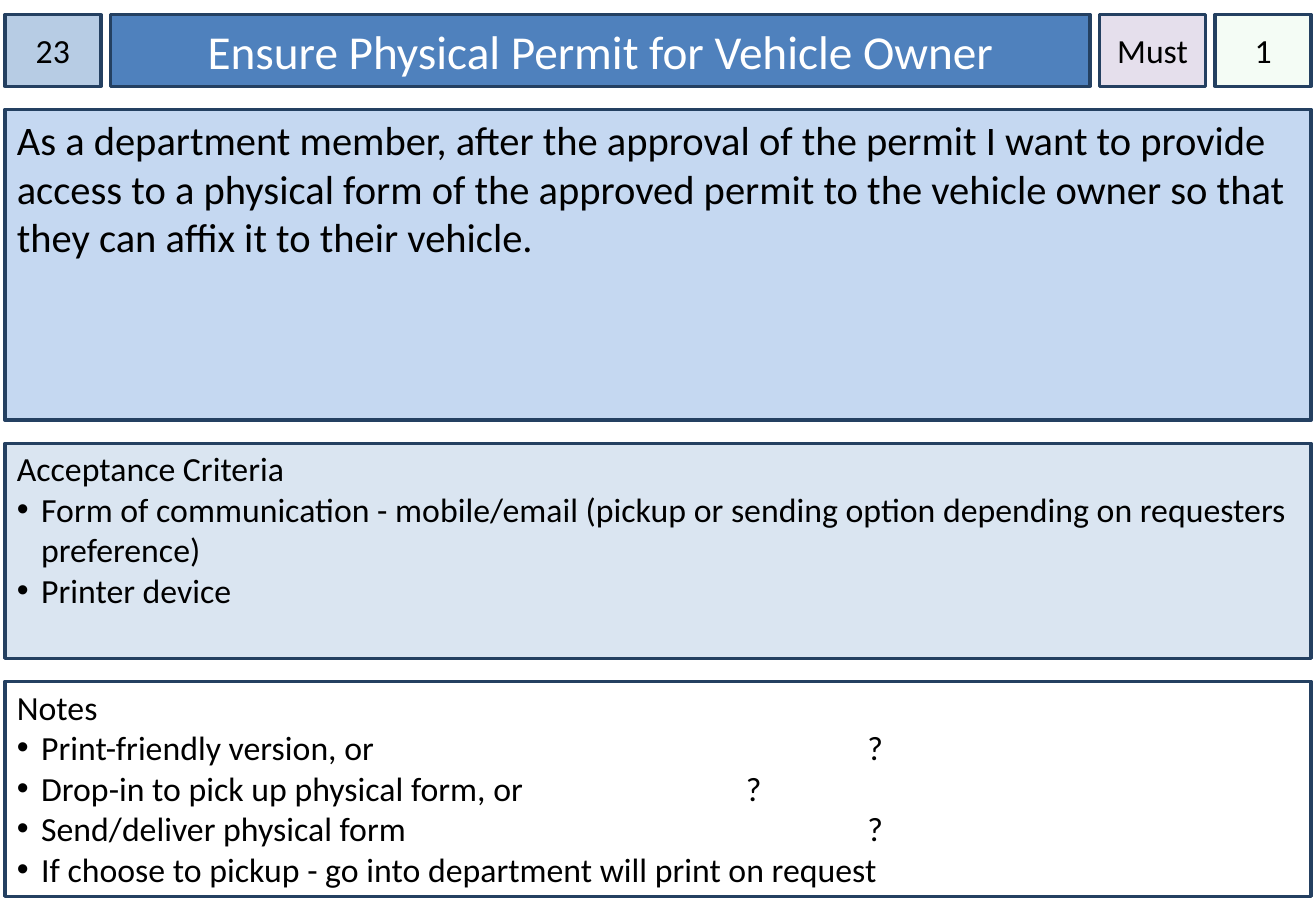
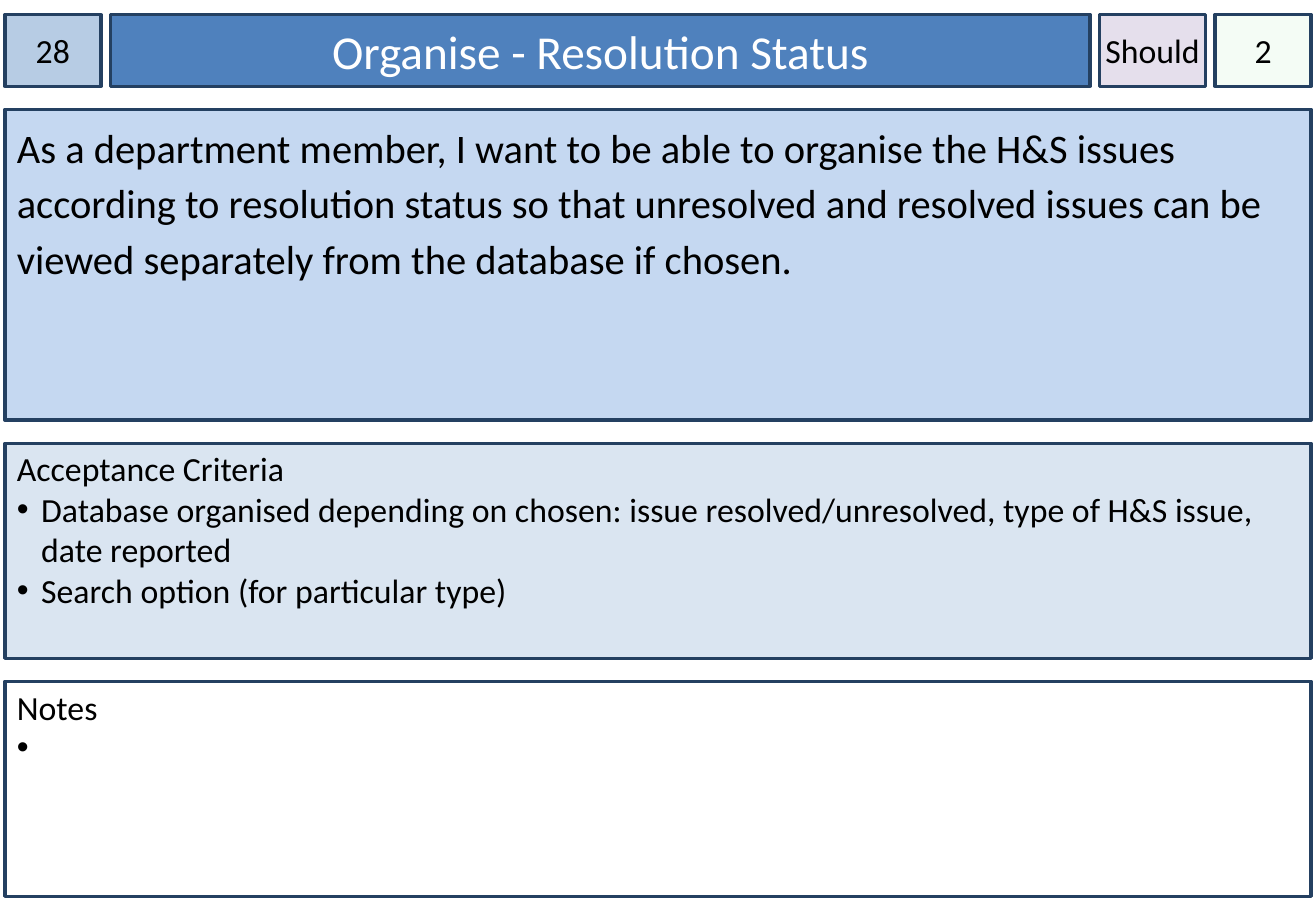
from lxml import etree
from pptx import Presentation
from pptx.dml.color import RGBColor
from pptx.enum.shapes import MSO_SHAPE
from pptx.enum.text import MSO_ANCHOR, MSO_AUTO_SIZE, PP_ALIGN
from pptx.oxml.ns import qn
from pptx.util import Inches, Pt

RECTANGLE = MSO_SHAPE.RECTANGLE
TOP, MIDDLE = MSO_ANCHOR.TOP, MSO_ANCHOR.MIDDLE
LEFT, CENTER = PP_ALIGN.LEFT, PP_ALIGN.CENTER
NO_FIT = MSO_AUTO_SIZE.NONE
TITLE_ONLY = 5

FONT = "Calibri"
COLORS = {
    "border": "244061", "text": "000000", "title_text": "FFFFFF",
    "number": "B7CCE4", "title": "4F81BD", "priority": "E5DFEC",
    "estimate": "CCF0CD", "story": "C5D8F1", "criteria": "DAE5F1",
    "notes": "FFFFFF",
}

# Card grid, in inches
SLIDE_W, SLIDE_H = 10.83, 7.5
MARGIN_X, MARGIN_TOP = 0.04, 0.12
CARD_W = SLIDE_W - 2 * MARGIN_X
COLUMN_GAP, ROW_GAP = 0.08, 0.19
NUMBER_W, PRIORITY_W, ESTIMATE_W = 0.79, 0.87, 0.79
TITLE_W = CARD_W - NUMBER_W - PRIORITY_W - ESTIMATE_W - 3 * COLUMN_GAP
ROW_HEIGHTS = [0.59, 2.56, 1.77, 1.77]
BULLET_INDENT = 0.2

CARDS = [
    {
        "number": "23",
        "title": "Ensure Physical Permit for Vehicle Owner",
        "priority": "Must",
        "estimate": "1",
        "story": "As a department member, after the approval of the permit I want "
                 "to provide access to a physical form of the approved permit to "
                 "the vehicle owner so that they can affix it to their vehicle.",
        "story_spacing": 1.0,
        "criteria": [
            ("Form of communication - mobile/email (pickup or sending option "
             "depending on requesters preference)", None),
            ("Printer device", None),
        ],
        # Each bullet carries the tab stop of its question mark
        "notes": [
            ("Print-friendly version, or\t?", 7),
            ("Drop-in to pick up physical form, or\t?", 6),
            ("Send/deliver physical form\t?", 7),
            ("If choose to pickup - go into department will print on request", None),
        ],
    },
    {
        "number": "28",
        "title": "Organise - Resolution Status",
        "priority": "Should",
        "estimate": "2",
        "story": "As a department member, I want to be able to organise the H&S "
                 "issues according to resolution status so that unresolved and "
                 "resolved issues can be viewed separately from the database if "
                 "chosen.",
        "story_spacing": 1.15,
        "criteria": [
            ("Database organised depending on chosen: issue resolved/unresolved, "
             "type of H&S issue, date reported", None),
            ("Search option (for particular type)", None),
        ],
        "notes": [(" ", None)],
    },
]


def rgb(name):
    return RGBColor.from_string(COLORS[name])


def spans(start, sizes, gap):
    """Turn consecutive sizes into (start, size) pairs."""
    pairs = []
    for size in sizes:
        pairs.append((start, size))
        start += size + gap
    return pairs


COLUMNS = spans(MARGIN_X, [NUMBER_W, TITLE_W, PRIORITY_W, ESTIMATE_W], COLUMN_GAP)
ROWS = spans(MARGIN_TOP, ROW_HEIGHTS, ROW_GAP)
FULL_WIDTH = (MARGIN_X, CARD_W)


def style_box(box, column, row, fill, anchor, inset_x=0.1, inset_top=0.05):
    """Place a box in the grid and give it the card's look."""
    box.left, box.width = (Inches(length) for length in column)
    box.top, box.height = (Inches(length) for length in row)
    box.fill.solid()
    box.fill.fore_color.rgb = rgb(fill)
    box.line.color.rgb = rgb("border")
    box.line.width = Pt(2)
    frame = box.text_frame
    frame.word_wrap = True
    frame.auto_size = NO_FIT
    frame.vertical_anchor = anchor
    frame.margin_left = frame.margin_right = Inches(inset_x)
    frame.margin_top, frame.margin_bottom = Inches(inset_top), Inches(0.05)


def add_box(slide, column, row, fill, anchor, **insets):
    box = slide.shapes.add_shape(RECTANGLE, 0, 0, 0, 0)
    box.shadow.inherit = False
    style_box(box, column, row, fill, anchor, **insets)
    return box


def write(paragraph, text, size, color="text", align=LEFT):
    paragraph.alignment = align
    run = paragraph.add_run()
    run.text = text
    run.font.name, run.font.size = FONT, Pt(size)
    run.font.color.rgb = rgb(color)


def add_bullet(paragraph, tab_stop):
    props = paragraph._p.get_or_add_pPr()
    props.set("marL", str(Inches(BULLET_INDENT)))
    props.set("indent", str(-Inches(BULLET_INDENT)))
    bullet_color = etree.SubElement(props, qn("a:buClr"))
    etree.SubElement(bullet_color, qn("a:srgbClr"), val=COLORS["text"])
    etree.SubElement(props, qn("a:buFont"), typeface="Arial")
    etree.SubElement(props, qn("a:buChar"), char="•")
    if tab_stop:
        tabs = etree.SubElement(props, qn("a:tabLst"))
        etree.SubElement(tabs, qn("a:tab"), pos=str(Inches(tab_stop)), algn="l")


def set_opacity(box, percent):
    color = box.fill._xPr.find(qn("a:solidFill"))[0]
    etree.SubElement(color, qn("a:alpha"), val=str(percent * 1000))


def add_title(slide, text):
    title = slide.shapes.title
    style_box(title, COLUMNS[1], ROWS[0], "title", MIDDLE)
    write(title.text_frame.paragraphs[0], text, 28, "title_text", CENTER)


def add_tag(slide, column, fill, text):
    tag = add_box(slide, column, ROWS[0], fill, MIDDLE, inset_x=0)
    write(tag.text_frame.paragraphs[0], text, 20, align=CENTER)
    return tag


def add_story(slide, text, line_spacing):
    story = add_box(slide, FULL_WIDTH, ROWS[1], "story", TOP)
    paragraph = story.text_frame.paragraphs[0]
    paragraph.line_spacing = line_spacing
    write(paragraph, text, 24)


def add_list_panel(slide, row, fill, heading, items):
    frame = add_box(slide, FULL_WIDTH, row, fill, TOP, inset_top=0.04).text_frame
    write(frame.paragraphs[0], heading, 20)
    for text, tab_stop in items:
        paragraph = frame.add_paragraph()
        write(paragraph, text, 20)
        add_bullet(paragraph, tab_stop)


def add_card(prs, card):
    slide = prs.slides.add_slide(prs.slide_layouts[TITLE_ONLY])
    # Header row
    add_title(slide, card["title"])
    add_tag(slide, COLUMNS[0], "number", card["number"])
    add_tag(slide, COLUMNS[2], "priority", card["priority"])
    estimate = add_tag(slide, COLUMNS[3], "estimate", card["estimate"])
    set_opacity(estimate, 20)
    # Body panels
    add_story(slide, card["story"], card["story_spacing"])
    add_list_panel(slide, ROWS[2], "criteria", "Acceptance Criteria", card["criteria"])
    add_list_panel(slide, ROWS[3], "notes", "Notes", card["notes"])


def main():
    prs = Presentation()
    prs.slide_width, prs.slide_height = Inches(SLIDE_W), Inches(SLIDE_H)
    for card in CARDS:
        add_card(prs, card)
    prs.save("out.pptx")


if __name__ == "__main__":
    main()
